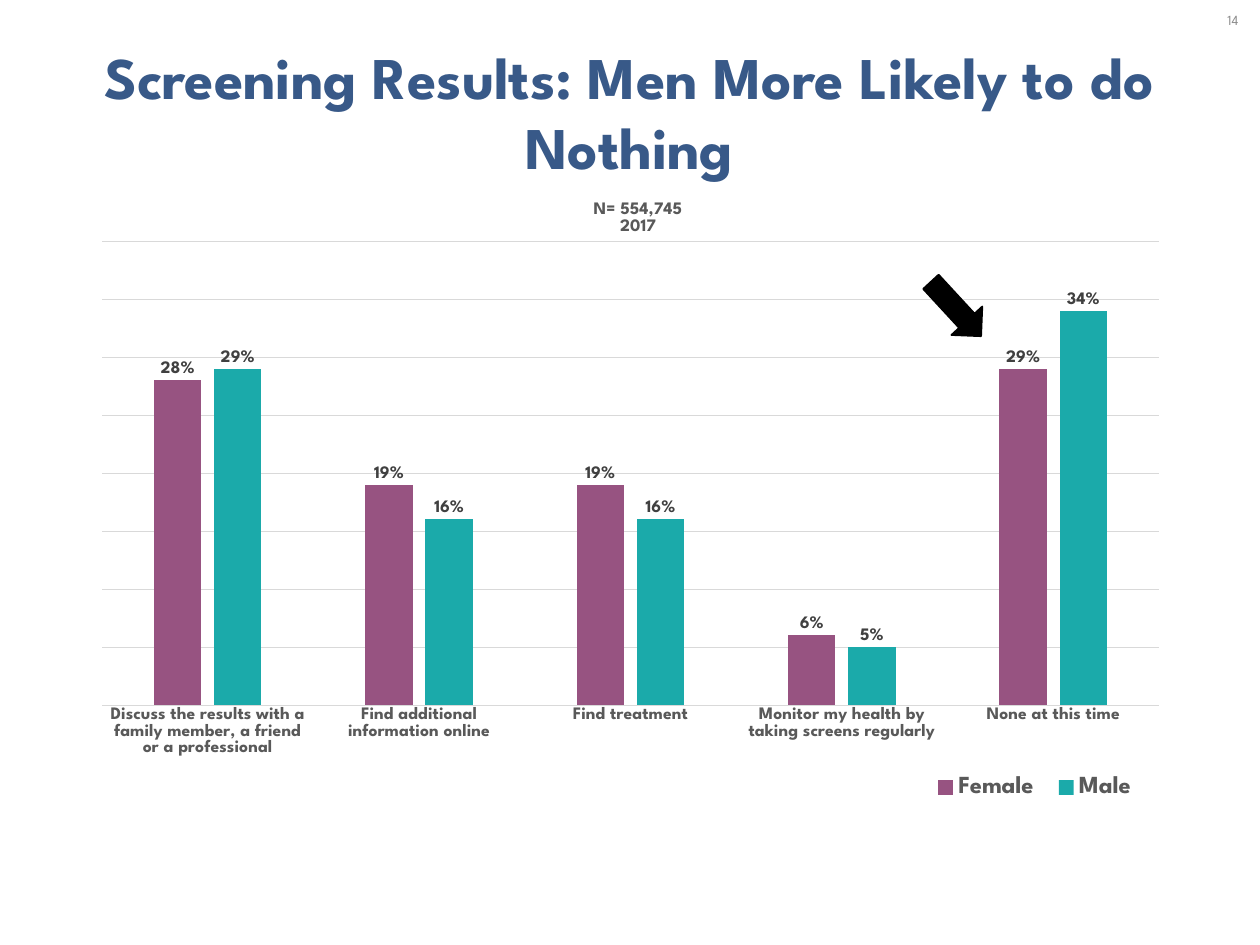
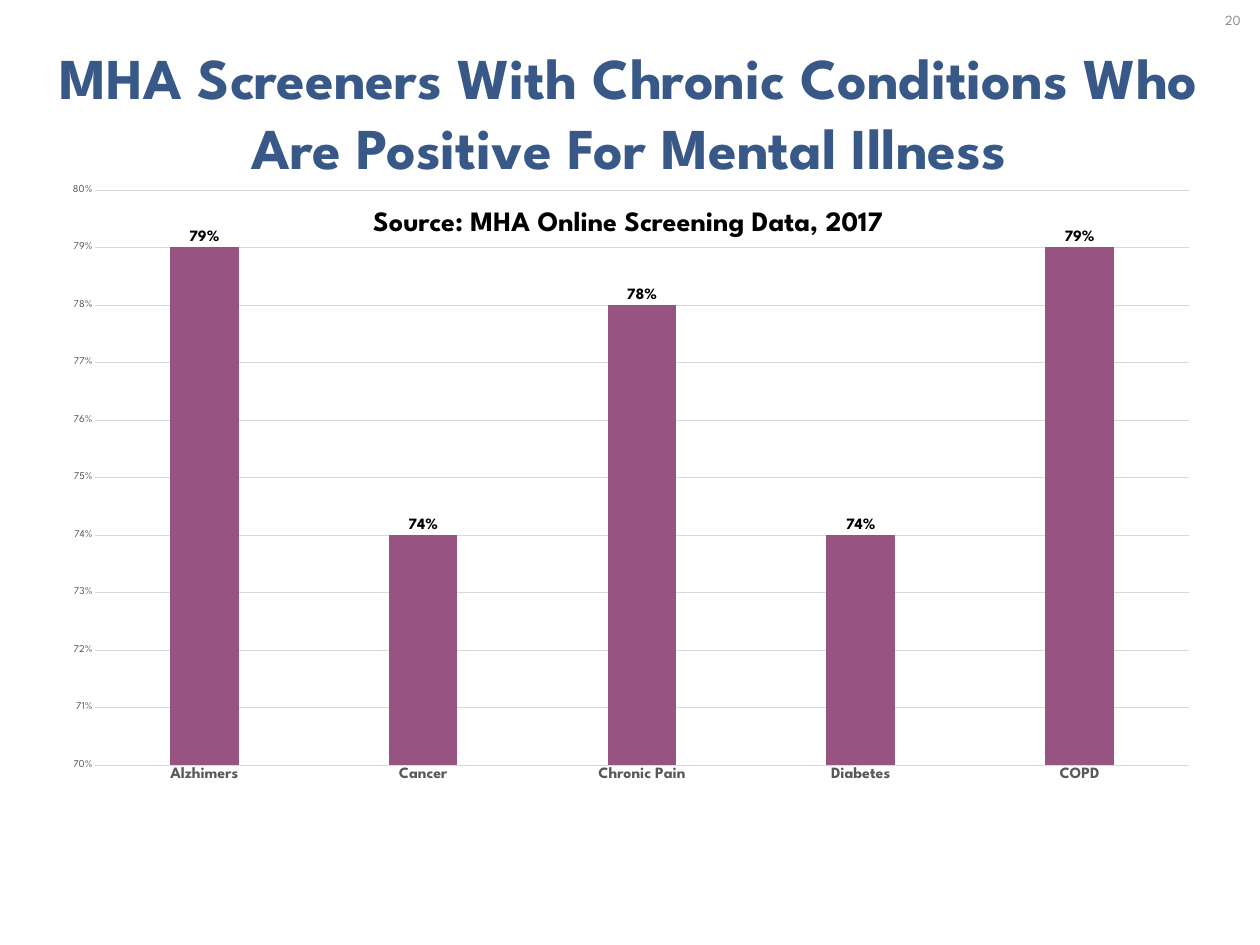
from lxml.etree import SubElement
from pptx import Presentation
from pptx.chart.data import CategoryChartData
from pptx.dml.color import RGBColor
from pptx.enum.chart import XL_CHART_TYPE, XL_LABEL_POSITION, XL_LEGEND_POSITION, XL_TICK_MARK
from pptx.enum.shapes import MSO_SHAPE
from pptx.enum.text import MSO_ANCHOR, MSO_AUTO_SIZE, PP_ALIGN
from pptx.oxml import parse_xml
from pptx.oxml.ns import nsdecls, qn
from pptx.util import Pt

FONT = "League Spartan"
COLORS = {
    "title": "385988", "number": "8C8C8C", "black": "000000", "axis": "595959",
    "grid": "D9D9D9", "label": "404040", "plum": "975381", "teal": "1BAAAA",
}


def px(n):
    return round(n * 914400 / 63)


def tint(name):
    return RGBColor.from_string(COLORS[name])


def style(font, size, color, bold=False):
    font.name, font.size, font.bold = FONT, Pt(size), bold
    font.color.rgb = tint(color)


def place(parent, index, box, frame, inner=False):
    """Fix the place of a chart part; box and frame are in slide px."""
    for old in parent.findall(qn("c:layout")):
        parent.remove(old)
    layout = parse_xml(f"<c:layout {nsdecls('c')}/>")
    manual = SubElement(layout, qn("c:manualLayout"))
    left, top, wide, high = frame
    parts = [("layoutTarget", "inner")] if inner else []
    parts += [("xMode", "edge"), ("yMode", "edge"),
              ("x", (box[0] - left) / wide), ("y", (box[1] - top) / high),
              ("w", box[2] / wide), ("h", box[3] / high)]
    for tag, value in parts:
        SubElement(manual, qn(f"c:{tag}")).set("val", str(value))
    parent.insert(index, layout)


class Deck:
    def __init__(self):
        self.prs = Presentation()
        self.prs.slide_width, self.prs.slide_height = px(1260), px(945)

    def add(self, title, size, number):
        """Start a slide with its title and page number."""
        self.slide = self.prs.slides.add_slide(self.prs.slide_layouts[5])
        head = self.slide.shapes.title
        head.left, head.top, head.width, head.height = map(px, (52, 66, 1154, 91))
        frame = head.text_frame
        frame.text = title
        frame.word_wrap, frame.auto_size = True, MSO_AUTO_SIZE.NONE
        frame.vertical_anchor = MSO_ANCHOR.MIDDLE
        para = frame.paragraphs[0]
        para.alignment, para.line_spacing = PP_ALIGN.CENTER, Pt(80)
        style(para.font, size, "title", True)
        self.text(number, (1206, 0, 54, 40), 16, "number", align=PP_ALIGN.CENTER)

    def text(self, text, box, size, color, bold=False, align=PP_ALIGN.LEFT):
        frame = self.slide.shapes.add_textbox(*map(px, box)).text_frame
        frame.word_wrap, frame.vertical_anchor = True, MSO_ANCHOR.MIDDLE
        para = frame.paragraphs[0]
        para.text, para.alignment = text, align
        style(para.font, size, color, bold)

    def arrow(self, box, angle):
        shape = self.slide.shapes.add_shape(MSO_SHAPE.DOWN_ARROW, *map(px, box))
        shape.rotation, shape.shadow.inherit = angle, False
        shape.fill.solid()
        shape.fill.fore_color.rgb = shape.line.color.rgb = tint("black")
        shape.line.width = Pt(2)

    def chart(self, box, plot, cats, series, scale, size, ink):
        """Add a column chart; series holds (name, color, values)."""
        data = CategoryChartData(number_format="0%")
        data.categories = cats
        for name, _, values in series:
            data.add_series(name, values)
        chart = self.slide.shapes.add_chart(
            XL_CHART_TYPE.COLUMN_CLUSTERED, *map(px, box), data).chart
        style(chart.font, 10, "black")
        chart.has_title = chart.has_legend = False
        root = chart.element
        root.find(qn("c:chart")).addnext(parse_xml(
            f"<c:spPr {nsdecls('c', 'a')}><a:noFill/><a:ln><a:noFill/></a:ln></c:spPr>"))
        place(root.find(".//" + qn("c:plotArea")), 0, plot, box, True)

        # Axes
        low, high, step = scale
        cat, val = chart.category_axis, chart.value_axis
        val.minimum_scale, val.maximum_scale, val.major_unit = low, high, step
        for axis in (cat, val):
            axis.major_tick_mark = axis.minor_tick_mark = XL_TICK_MARK.NONE
        style(cat.tick_labels.font, size, "axis", True)
        style(val.tick_labels.font, 12, "axis")
        val.tick_labels.number_format = "0%"
        val.tick_labels.number_format_is_linked = False
        val.format.line.fill.background()
        for line in (cat.format.line, val.major_gridlines.format.line):
            line.color.rgb, line.width = tint("grid"), Pt(0.75)

        # Columns and their labels
        bars = chart.plots[0]
        bars.gap_width, bars.overlap, bars.vary_by_categories = 219, -27, False
        for item, (_, color, _) in zip(bars.series, series):
            item.format.fill.solid()
            item.format.fill.fore_color.rgb = tint(color)
            labels = item.data_labels
            labels.show_value, labels.position = True, XL_LABEL_POSITION.OUTSIDE_END
            labels.number_format, labels.number_format_is_linked = "0%", False
            style(labels.font, size, ink, True)
        return chart


def main():
    deck = Deck()

    # Results by gender
    deck.add("Screening Results: Men More Likely to do Nothing", 67.5, "14")
    box = (100, 183, 1076, 643)
    chart = deck.chart(
        box, (102, 241, 1057, 464),
        ["Discuss the results with a family member, a friend or a professional",
         "Find additional information online", "Find treatment",
         "Monitor my health by taking screens regularly", "None at this time"],
        [("Female", "plum", (0.28, 0.19, 0.19, 0.06, 0.29)),
         ("Male", "teal", (0.29, 0.16, 0.16, 0.05, 0.34))],
        (0, 0.4, 0.05), 20, "label")
    chart.value_axis.visible = False
    frame = chart.chart_title.text_frame
    frame.text = "N= 554,745\n2017"
    for para in frame.paragraphs:
        style(para.font, 20, "axis", True)
    chart.has_legend = True
    legend = chart.legend
    legend.position, legend.include_in_layout = XL_LEGEND_POSITION.BOTTOM, False
    style(legend.font, 28, "axis", True)
    place(chart.element.find(".//" + qn("c:legend")), 1, (921, 770, 227, 35), box)
    deck.arrow((935, 272, 42, 74), 317.3)

    # Chronic conditions
    deck.add("MHA Screeners With Chronic Conditions Who Are Positive For Mental Illness",
             66, "20")
    deck.text("Source: MHA Online Screening Data, 2017", (367, 200, 585, 40),
              32, "black", True)
    deck.chart(
        (53, 184, 1138, 619), (95, 190, 1094, 575),
        ["Alzhimers", "Cancer", "Chronic Pain", "Diabetes", "COPD"],
        [("Series 1", "plum", (0.79, 0.74, 0.78, 0.74, 0.79))],
        (0.7, 0.8, 0.01), 18, "black")

    deck.prs.save("out.pptx")


if __name__ == "__main__":
    main()
